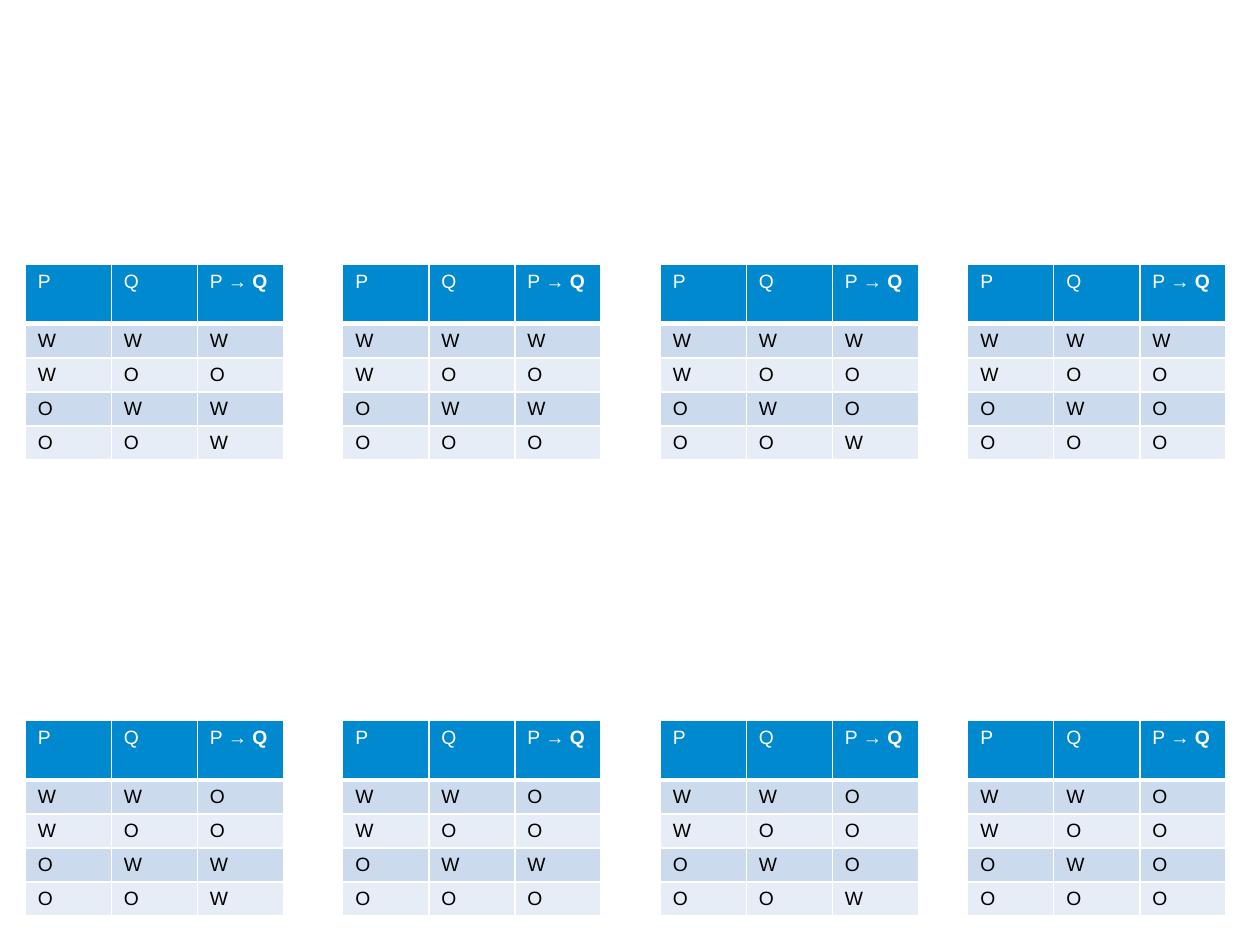
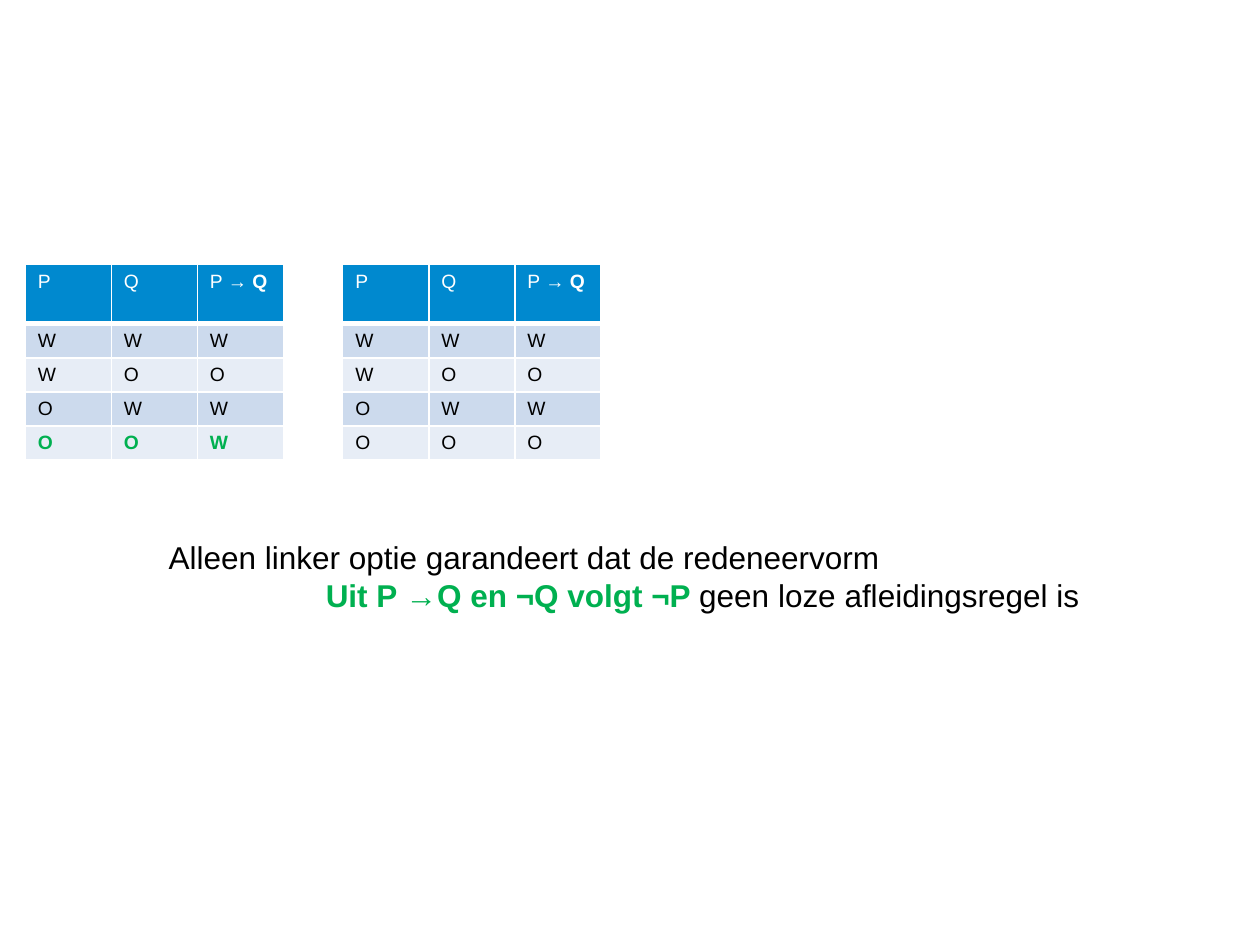
import itertools

import pptx
import pptx.dml.color
import pptx.enum.text
import pptx.oxml
import pptx.oxml.ns
import pptx.util

Pt = pptx.util.Pt
ALIGN = pptx.enum.text.PP_ALIGN

COLORS = {
    "header": "0089CF",
    "band_dark": "CCDAED",
    "band_light": "E7EDF6",
    "white": "FFFFFF",
    "black": "000000",
    "highlight": "00B050",
}
FONT = "Arial"
HEADER = [["P"], ["Q"], ["P ", "→ Q"]]
PREMISES = list(itertools.product("WO", repeat=2))
TABLE_LEFTS = [14.4, 195.84, 377.28, 552.96]
TABLE_TOPS = [151.2, 411.84]
COL_WIDTH = 49.2
HEADER_HEIGHT, ROW_HEIGHT = 33.84, 18.72


def rgb(name):
    return pptx.dml.color.RGBColor.from_string(COLORS[name])


def add_run(p, text, size, color, bold=False):
    r = p.add_run()
    r.text = text
    r.font.name = FONT
    r.font.size = Pt(size)
    r.font.bold = bold
    r.font.color.rgb = rgb(color)


def set_borders(cell, bottom):
    tc_pr = cell._tc.get_or_add_tcPr()
    for side, width in (("L", 1), ("R", 1), ("T", 1), ("B", bottom)):
        tc_pr.append(pptx.oxml.parse_xml(
            f'<a:ln{side} {pptx.oxml.ns.nsdecls("a")} w="{Pt(width)}">'
            f'<a:solidFill><a:srgbClr val="{COLORS["white"]}"/></a:solidFill>'
            f'</a:ln{side}>'))


def style_cell(cell, fill, bottom=1):
    set_borders(cell, bottom)
    cell.fill.solid()
    cell.fill.fore_color.rgb = rgb(fill)


def add_truth_table(s, left, top, results, green_row=None):
    rows = len(PREMISES) + 1
    cols = len(HEADER)
    table = s.shapes.add_table(
        rows, cols, Pt(left), Pt(top), Pt(cols * COL_WIDTH),
        Pt(HEADER_HEIGHT + len(PREMISES) * ROW_HEIGHT)).table
    for col in table.columns:
        col.width = Pt(COL_WIDTH)
    for i, row in enumerate(table.rows):
        row.height = Pt(ROW_HEIGHT if i else HEADER_HEIGHT)

    for j, parts in enumerate(HEADER):
        cell = table.cell(0, j)
        style_cell(cell, "header", bottom=3)
        for k, part in enumerate(parts):
            add_run(cell.text_frame.paragraphs[0], part, 11, "white", bold=k > 0)

    for i, (premises, result) in enumerate(zip(PREMISES, results), 1):
        green = i == green_row
        for j, value in enumerate((*premises, result)):
            cell = table.cell(i, j)
            style_cell(cell, "band_dark" if i % 2 else "band_light")
            add_run(cell.text_frame.paragraphs[0], value, 11,
                    "highlight" if green else "black", green)


def add_conclusion(s):
    tf = s.shapes.add_textbox(Pt(87.84), Pt(303.84), Pt(578.16), Pt(51.12)).text_frame
    tf.word_wrap = True
    p = tf.paragraphs[0]
    p.alignment = ALIGN.LEFT
    p._p.get_or_add_pPr().set("marL", str(Pt(1.5)))
    add_run(p, "Alleen linker optie garandeert dat de redeneervorm", 18, "black")
    p = tf.add_paragraph()
    p.alignment = ALIGN.CENTER
    p._p.get_or_add_pPr().set("marL", str(Pt(49)))
    add_run(p, "Uit P →Q en ¬Q volgt ¬P ", 18, "highlight", True)
    add_run(p, "geen loze afleidingsregel is", 18, "black")


def main():
    prs = pptx.Presentation()
    prs.slide_width, prs.slide_height = Pt(720), Pt(540)
    blank = prs.slide_layouts[6]

    s = prs.slides.add_slide(blank)
    for top, first in zip(TABLE_TOPS, "WO"):
        for left, last_two in zip(TABLE_LEFTS, PREMISES):
            add_truth_table(s, left, top, (first, "O", *last_two))

    s = prs.slides.add_slide(blank)
    add_truth_table(s, TABLE_LEFTS[0], TABLE_TOPS[0], "WOWW", green_row=4)
    add_truth_table(s, TABLE_LEFTS[1], TABLE_TOPS[0], "WOWO")
    add_conclusion(s)

    prs.save("out.pptx")


if __name__ == "__main__":
    main()
